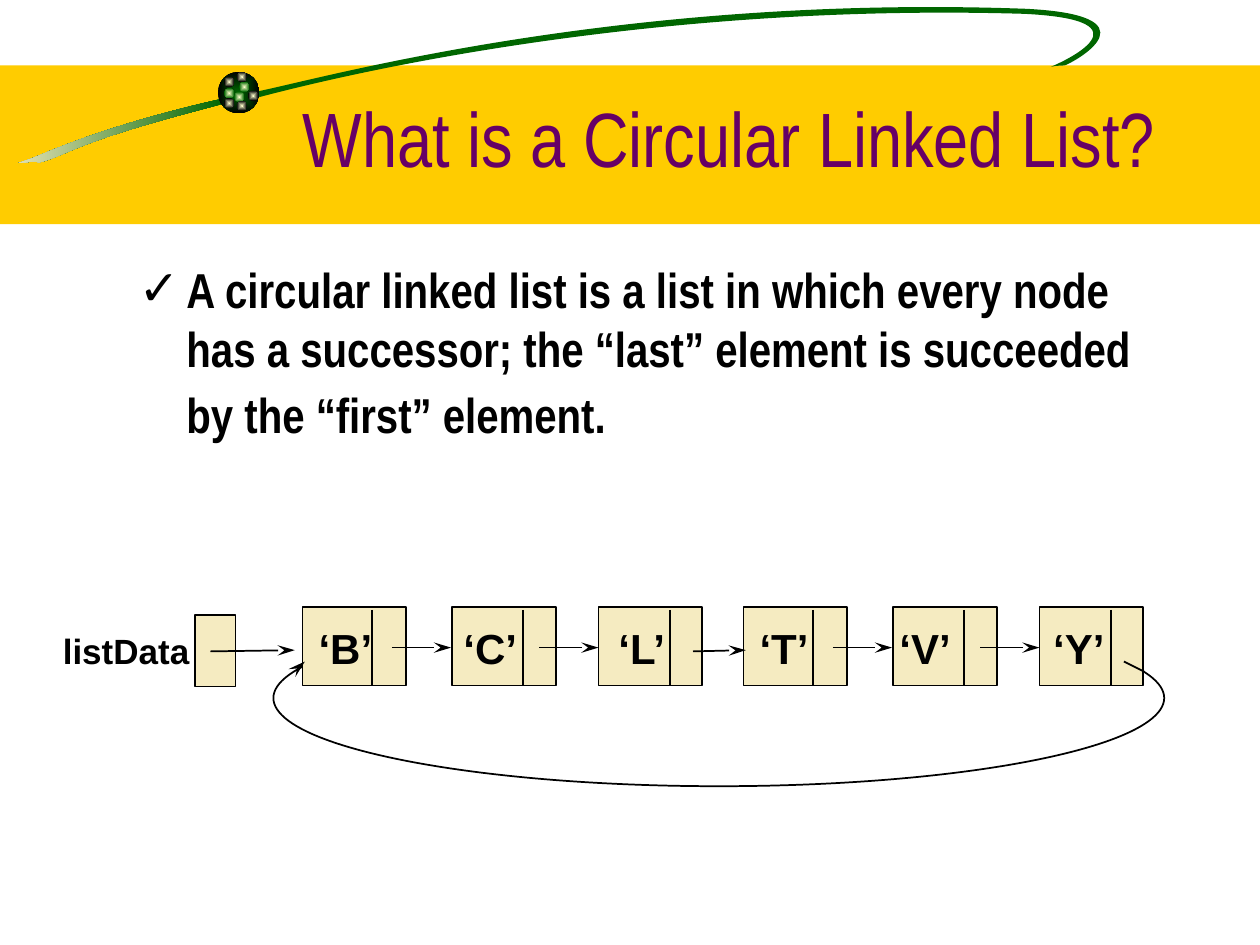
import pptx
import pptx.util
import pptx.dml.color
import pptx.enum.shapes
import pptx.enum.text
import pptx.oxml
import pptx.oxml.ns

Inches = pptx.util.Inches
Pt = pptx.util.Pt
RGBColor = pptx.dml.color.RGBColor
SHAPE = pptx.enum.shapes.MSO_SHAPE
ANCHOR = pptx.enum.text.MSO_ANCHOR
ALIGN = pptx.enum.text.PP_ALIGN
qn = pptx.oxml.ns.qn

WHITE = RGBColor(0xFF, 0xFF, 0xFF)
BLACK = RGBColor(0, 0, 0)
GOLD = RGBColor(0xFF, 0xCC, 0x00)
GREEN = RGBColor(0x00, 0x66, 0x00)
CREAM = RGBColor(0xF5, 0xEB, 0xC1)
SPARK = RGBColor(0xFF, 0xFF, 0xCC)
PURPLE = RGBColor(0x66, 0x00, 0x66)

# Curves in hundredths of an inch: start point, then Bezier triples
TAIL = [(178, 78),
        (91, 98), (49, 116), (25, 126),
        (1, 134), (26, 126), (31, 129),
        (57, 122), (57, 113), (179, 82)]
SWOOSH = [(202, 73),
          (246, 65), (486, -5), (814, 7),
          (917, 12), (857, 47), (845, 52),
          (845, 52), (838, 52), (834, 53),
          (844, 49), (916, 16), (813, 11),
          (548, 3), (320, 47), (206, 77)]
SPARKS = [(1.9, 0.65, GREEN), (1.78, 0.61, BLACK), (1.78, 0.7, GREEN),
          (1.86, 0.73, GREEN), (1.97, 0.72, BLACK), (1.88, 0.8, BLACK),
          (1.78, 0.78, BLACK), (1.88, 0.57, BLACK)]

# Left edge and divider of each node
NODES = [(2.4, 2.95), (3.59, 4.15), (4.75, 5.32),
         (5.9, 6.45), (7.09, 7.65), (8.25, 8.82)]
NODE_TOP, NODE_WIDTH, NODE_HEIGHT = 4.82, 0.82, 0.62
LINKS = [((1.67, 5.17), (2.34, 5.16)), ((5.5, 5.17), (5.92, 5.16))] + [
    ((x - 0.47, 5.14), (x, 5.14)) for x in (3.58, 4.75, 7.08, 8.25)]


def apply_format(target, values):
    for name, value in values.items():
        setattr(target, name, value)


def place(part, left, top, width, height):
    apply_format(part, {"left": Inches(left), "top": Inches(top),
                        "width": Inches(width), "height": Inches(height)})


def add_xml(parent, markup):
    declared = markup.replace(" ", " " + pptx.oxml.ns.nsdecls("a") + " ", 1)
    parent.append(pptx.oxml.parse_xml(declared))


def paint(part, fill, outlined=False):
    part.shadow.inherit = False
    if fill is not None:
        part.fill.solid()
        part.fill.fore_color.rgb = fill
    if outlined:
        part.line.color.rgb = BLACK
        part.line.width = Pt(1)
    else:
        part.line.fill.background()


def add_block(slide, preset, box, fill, outlined=False):
    block = slide.shapes.add_shape(preset, *map(Inches, box))
    paint(block, fill, outlined)
    return block


def blend(part, first, last, from_centre=True):
    part.fill.gradient()
    for stop, colour in zip(part.fill.gradient_stops, (first, last)):
        stop.color.rgb = colour
    if not from_centre:
        part.fill.gradient_angle = 180
        return
    gradient = part.element.spPr.find(qn("a:gradFill"))
    gradient.remove(gradient.find(qn("a:lin")))
    add_xml(gradient, '<a:path path="rect"><a:fillToRect l="50000" t="50000" '
                      'r="50000" b="50000"/></a:path>')


def add_curve(slide, points, fill):
    builder = slide.shapes.build_freeform(*points[0], scale=Inches(0.01))
    builder.add_line_segments(points[1:], close=True)
    outline = builder.convert_to_shape()
    # Turn each run of three segments into one Bezier curve
    segments = list(outline.element.iter(qn("a:lnTo")))[:len(points) - 1]
    for index in range(0, len(segments), 3):
        bezier = pptx.oxml.parse_xml(
            f'<a:cubicBezTo {pptx.oxml.ns.nsdecls("a")}/>')
        segments[index].addprevious(bezier)
        for segment in segments[index:index + 3]:
            bezier.append(segment[0])
            segment.getparent().remove(segment)
    paint(outline, fill)
    return outline


def add_line(slide, start, end, arrow=False):
    line = slide.shapes.add_connector(
        pptx.enum.shapes.MSO_CONNECTOR.STRAIGHT, *map(Inches, start + end))
    line.line.color.rgb = BLACK
    line.line.width = Pt(1)
    if arrow:
        add_xml(line.line._get_or_add_ln(),
                '<a:tailEnd type="stealth" w="med" len="lg"/>')
    add_xml(line.element.spPr, "<a:effectLst />")


def write(paragraph, text, size, colour=BLACK, font="Arial", bold=True):
    run = paragraph.add_run()
    run.text = text
    apply_format(run.font, {"name": font, "size": Pt(size), "bold": bold})
    run.font.color.rgb = colour


def add_label(slide, box, text, size, tabs=()):
    frame = slide.shapes.add_textbox(*map(Inches, box)).text_frame
    apply_format(frame, {"word_wrap": True, "margin_right": 0})
    paragraph = frame.paragraphs[0]
    write(paragraph, text, size)
    if tabs:
        stops = "".join(f'<a:tab pos="{Inches(tab)}" algn="l"/>' for tab in tabs)
        add_xml(paragraph._p.get_or_add_pPr(), f"<a:tabLst >{stops}</a:tabLst>")


def add_backdrop(slide):
    add_block(slide, SHAPE.RECTANGLE, (0, 0.52, 10, 1.26), GOLD)
    blend(add_curve(slide, TAIL, None), GREEN, CREAM, from_centre=False)
    add_curve(slide, SWOOSH, GREEN)
    ball = add_block(slide, SHAPE.OVAL, (1.73, 0.57, 0.33, 0.33), None)
    blend(ball, GREEN, BLACK)
    for left, top, edge in SPARKS:
        blend(add_block(slide, SHAPE.OVAL, (left, top, 0.08, 0.08), None), SPARK, edge)
    veil = add_block(slide, SHAPE.RECTANGLE, (0.74, 2.06, 1.22, 5.44), WHITE)
    add_xml(veil.element.spPr.find(qn("a:solidFill"))[0], '<a:alpha val="50000"/>')


def fill_placeholders(slide):
    title, body = slide.shapes.title, slide.placeholders[1]
    for part, box, anchor in ((title, (1, 0.17, 9.58, 1.33), ANCHOR.BOTTOM),
                              (body, (1, 2.01, 8.42, 2.25), ANCHOR.TOP)):
        place(part, *box)
        apply_format(part.text_frame, {"vertical_anchor": anchor, "word_wrap": True,
                                       "auto_size": pptx.enum.text.MSO_AUTO_SIZE.NONE})
        slide.shapes.element.append(part.element)  # in front of the backdrop

    heading = title.text_frame.paragraphs[0]
    heading.alignment = ALIGN.CENTER
    write(heading, "What is a Circular Linked List?", 44, PURPLE, "Arial Narrow", False)

    body.fill.solid()
    body.fill.fore_color.rgb = WHITE
    definition = body.text_frame.paragraphs[0]
    definition.space_before = Pt(8)
    write(definition, "A circular linked list is a list in which every node has a "
          "successor; the “last” element is succeeded by the “first” element.",
          28, font="Arial Narrow")
    write(definition, " ", 32, font="Arial Narrow", bold=False)
    properties = definition._p.get_or_add_pPr()
    properties.set("marL", str(Inches(0.38)))
    properties.set("indent", str(Inches(-0.38)))
    add_xml(properties, '<a:buClr ><a:srgbClr val="000000"/></a:buClr>')
    add_xml(properties, '<a:buFont typeface="Arial"/>')
    add_xml(properties, '<a:buChar char="✓"/>')


def add_linked_list(slide):
    # Loop from the last node back to the first, its top masked
    add_block(slide, SHAPE.OVAL, (2.17, 4.84, 7.07, 1.4), WHITE, True)
    add_block(slide, SHAPE.RECTANGLE, (2.5, 4.08, 6.33, 1.17), WHITE)
    # Head pointer and nodes
    add_block(slide, SHAPE.RECTANGLE, (1.55, 4.88, 0.32, 0.57), CREAM, True)
    for left, divider in NODES:
        add_block(slide, SHAPE.RECTANGLE,
                  (left, NODE_TOP, NODE_WIDTH, NODE_HEIGHT), CREAM, True)
        add_line(slide, (divider, 4.84), (divider, 5.44))
    # Links
    for start, end in LINKS:
        add_line(slide, start, end, arrow=True)
    add_line(slide, (9.08, 5.33), (8.92, 5.25))
    add_line(slide, (2.33, 5.33), (2.42, 5.25), arrow=True)
    # Labels
    add_label(slide, (2.43, 4.89, 3.02, 0.5), "‘B’\t‘C’\t‘L’", 24, (1.15, 2.38))
    add_label(slide, (5.93, 4.89, 2.98, 0.5), "‘T’\t‘V’\t‘Y’", 24, (1.11, 2.33))
    add_label(slide, (0.4, 4.95, 1.21, 0.43), "listData", 20)


def main():
    deck = pptx.Presentation()
    apply_format(deck, {"slide_width": Inches(10), "slide_height": Inches(7.5)})
    slide = deck.slides.add_slide(deck.slide_layouts[1])
    add_backdrop(slide)
    fill_placeholders(slide)
    add_linked_list(slide)
    deck.save("out.pptx")


if __name__ == "__main__":
    main()
